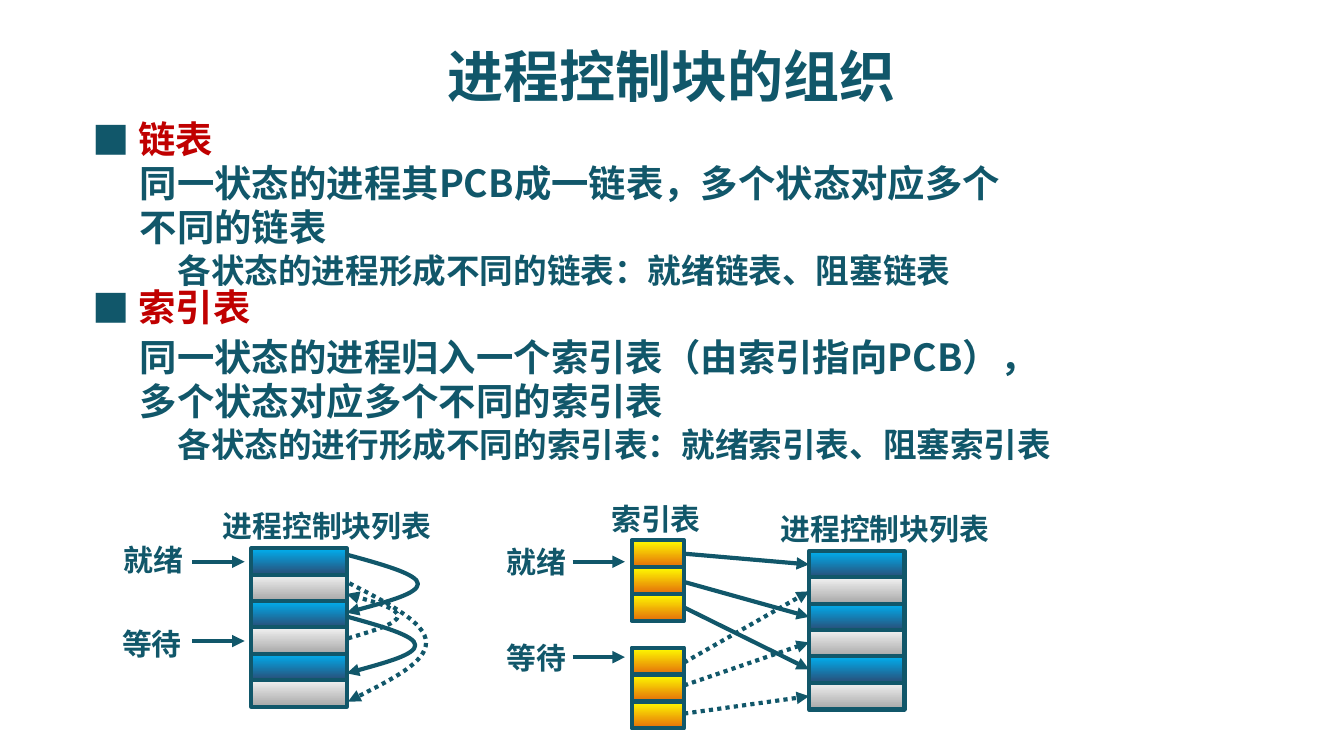
"""Build a slide on organising process control blocks as linked lists and index tables."""
from dataclasses import dataclass

from lxml.etree import SubElement
from pptx import Presentation
from pptx.dml.color import RGBColor as Color
from pptx.enum.dml import MSO_LINE_DASH_STYLE as Dash
from pptx.enum.shapes import MSO_CONNECTOR as Connector, MSO_SHAPE as Preset
from pptx.enum.text import MSO_ANCHOR as Anchor, MSO_AUTO_SIZE as AutoSize, PP_ALIGN as Align
from pptx.oxml.ns import qn
from pptx.util import Inches, Pt


@dataclass(frozen=True)
class Theme:
    font: str = "Noto Sans CJK SC"
    bullet_font: str = "Noto Sans CJK JP"
    ink: str = "11576A"
    accent: str = "C00000"
    ready: tuple = ("2A4C75", "00B0F0")
    waiting: tuple = ("A6A6A6", "F2F2F2")
    index: tuple = ("E46C0A", "FFFF00")
    title_size: int = 30
    body_size: int = 20
    example_size: int = 18
    label_size: int = 16
    line_width: float = 2.25


THEME = Theme()


def place(shape, left, top, width, height):
    shape.left, shape.top = Inches(left), Inches(top)
    shape.width, shape.height = Inches(width), Inches(height)


def add_run(paragraph, text, size, color=THEME.ink):
    run = paragraph.add_run()
    run.text = text
    run.font.size = Pt(size)
    run.font.bold = True
    run.font.color.rgb = Color.from_string(color)
    run.font.name = THEME.font
    SubElement(run.font._element, qn("a:ea"), typeface=THEME.font)


def set_indent(paragraph, left, right=0, bullet=False):
    properties = paragraph._p.get_or_add_pPr()
    properties.set("marL", str(Inches(left)))
    properties.set("marR", str(Inches(right)))
    properties.set("indent", str(-Inches(left) if bullet else 0))
    if bullet:
        color = SubElement(properties, qn("a:buClr"))
        SubElement(color, qn("a:srgbClr"), val=THEME.ink)
        SubElement(properties, qn("a:buFont"), typeface=THEME.bullet_font)
        SubElement(properties, qn("a:buChar"), char="■")
    else:
        SubElement(properties, qn("a:buNone"))


def fill_title(slide, text):
    title = slide.shapes.title
    place(title, 0.75, 0.1, 8.5, 0.92)
    frame = title.text_frame
    frame.vertical_anchor = Anchor.MIDDLE
    frame.auto_size = AutoSize.NONE
    paragraph = frame.paragraphs[0]
    paragraph.alignment = Align.CENTER
    add_run(paragraph, text, THEME.title_size)


def fill_body(slide, sections):
    body = slide.placeholders[1]
    place(body, 0.59, 0.86, 7.59, 2.72)
    frame = body.text_frame
    frame.vertical_anchor = Anchor.TOP
    frame.auto_size = AutoSize.NONE
    frame.word_wrap = True
    paragraph = frame.paragraphs[0]
    for number, (heading, detail, example, before, right) in enumerate(sections):
        rows = [
            (heading, THEME.body_size, THEME.accent, 20.5, 0, 0.34, 0),
            (detail, THEME.body_size, THEME.ink, 23.8, before, 0.35, right),
            (example, THEME.example_size, THEME.ink, 22, 0, 0.63, 0),
        ]
        for level, (text, size, color, pitch, space, left, margin) in enumerate(rows):
            if number or level:
                paragraph = frame.add_paragraph()
            paragraph.level = level
            paragraph.line_spacing = Pt(pitch)
            paragraph.space_before = Pt(space)
            paragraph.space_after = Pt(0)
            set_indent(paragraph, left, margin, bullet=level == 0)
            add_run(paragraph, text, size, color)


def add_label(slide, text, left, top):
    width = 0.2 + len(text) * THEME.label_size / 72
    box = slide.shapes.add_textbox(Inches(left), Inches(top), Inches(width), Inches(0.37))
    box.text_frame.word_wrap = False
    paragraph = box.text_frame.paragraphs[0]
    paragraph.line_spacing = Pt(1.2 * THEME.label_size)
    add_run(paragraph, text, THEME.label_size)


def style_line(shape, dotted=False, arrow=False):
    shape.line.color.rgb = Color.from_string(THEME.ink)
    shape.line.width = Pt(THEME.line_width)
    if dotted:
        shape.line.dash_style = Dash.ROUND_DOT
    if arrow:
        SubElement(shape._element.spPr.find(qn("a:ln")), qn("a:tailEnd"), type="triangle")


def add_cells(slide, left, top, width, pitch, gradients):
    for row, colors in enumerate(gradients):
        cell = slide.shapes.add_shape(
            Preset.RECTANGLE, Inches(left), Inches(top + row * pitch), Inches(width), Inches(0.2))
        cell.shadow.inherit = False
        cell.fill.gradient()
        cell.fill.gradient_angle = 90
        for stop, position, color in zip(cell.fill.gradient_stops, (0, 1), colors):
            stop.position = position
            stop.color.rgb = Color.from_string(color)
        style_line(cell)


def add_block_list(slide, left, top):
    add_cells(slide, left, top, 0.71, 0.196, (THEME.ready, THEME.waiting) * 3)
    add_label(slide, "进程控制块列表", left - 0.31, top - 0.35)


def add_arrow(slide, x1, y1, x2, y2, dotted=False):
    arrow = slide.shapes.add_connector(
        Connector.STRAIGHT, Inches(x1), Inches(y1), Inches(x2), Inches(y2))
    style_line(arrow, dotted, arrow=True)
    SubElement(arrow._element.spPr, qn("a:effectLst"))


def add_curved_arrow(slide, x1, y1, bulge, x2, y2, dotted=False):
    step = (y2 - y1) / 6
    across = ((x1 + bulge) / 2, bulge, bulge, bulge, (x2 + bulge) / 2, x2)
    points = [(Inches(x), Inches(y1 + step * row)) for row, x in enumerate(across, 1)]
    builder = slide.shapes.build_freeform(Inches(x1), Inches(y1))
    builder.add_line_segments(points, close=False)
    shape = builder.convert_to_shape()
    segments = list(shape._element.iter(qn("a:lnTo")))
    outline = segments[0].getparent()
    for first in (0, 3):
        curve = SubElement(outline, qn("a:cubicBezTo"))
        for segment in segments[first:first + 3]:
            curve.append(segment[0])
            outline.remove(segment)
    shape.fill.background()
    shape.shadow.inherit = False
    style_line(shape, dotted, arrow=True)


def add_queue(slide, text, left, top, arrow_left, arrow_y):
    add_label(slide, text, left, top)
    add_arrow(slide, arrow_left, arrow_y, arrow_left + 0.39, arrow_y)


def draw_linked_list(slide):
    add_block_list(slide, 1.87, 4.08)
    add_queue(slide, "就绪", 0.82, 3.98, 1.43, 4.18)
    add_queue(slide, "等待", 0.81, 4.61, 1.43, 4.77)
    add_curved_arrow(slide, 2.59, 4.13, 3.11, 2.58, 4.56)
    add_curved_arrow(slide, 2.59, 4.59, 3.09, 2.58, 5.01)
    add_curved_arrow(slide, 2.6, 4.34, 3.17, 2.59, 5.22, dotted=True)
    add_curved_arrow(slide, 2.59, 4.75, 2.96, 2.58, 4.42, dotted=True)


def draw_index_table(slide):
    for top in (4.02, 4.82):
        add_cells(slide, 4.7, top, 0.39, 0.2, [THEME.index] * 3)
    add_queue(slide, "就绪", 3.67, 4, 4.26, 4.18)
    add_queue(slide, "等待", 3.67, 4.71, 4.26, 4.89)
    add_label(slide, "索引表", 4.45, 3.68)
    for start, end in ((4.12, 4.2), (4.33, 4.59), (4.52, 4.98)):
        add_arrow(slide, 5.09, start, 6.02, end)
    for start, end in ((4.93, 4.4), (5.1, 4.78), (5.31, 5.18)):
        add_arrow(slide, 5.09, start, 6.02, end, dotted=True)
    add_block_list(slide, 6.02, 4.1)


def main():
    presentation = Presentation()
    presentation.slide_width = Inches(10)
    presentation.slide_height = Inches(10 * 9 / 16)
    slide = presentation.slides.add_slide(presentation.slide_layouts[1])
    fill_title(slide, "进程控制块的组织")
    fill_body(slide, [
        ("链表", "同一状态的进程其PCB成一链表，多个状态对应多个不同的链表",
         "各状态的进程形成不同的链表：就绪链表、阻塞链表", 0, 0.56),
        ("索引表", "同一状态的进程归入一个索引表（由索引指向PCB），多个状态对应多个不同的索引表",
         "各状态的进行形成不同的索引表：就绪索引表、阻塞索引表", 3, 0.48),
    ])
    draw_linked_list(slide)
    draw_index_table(slide)
    presentation.save("out.pptx")


if __name__ == "__main__":
    main()
